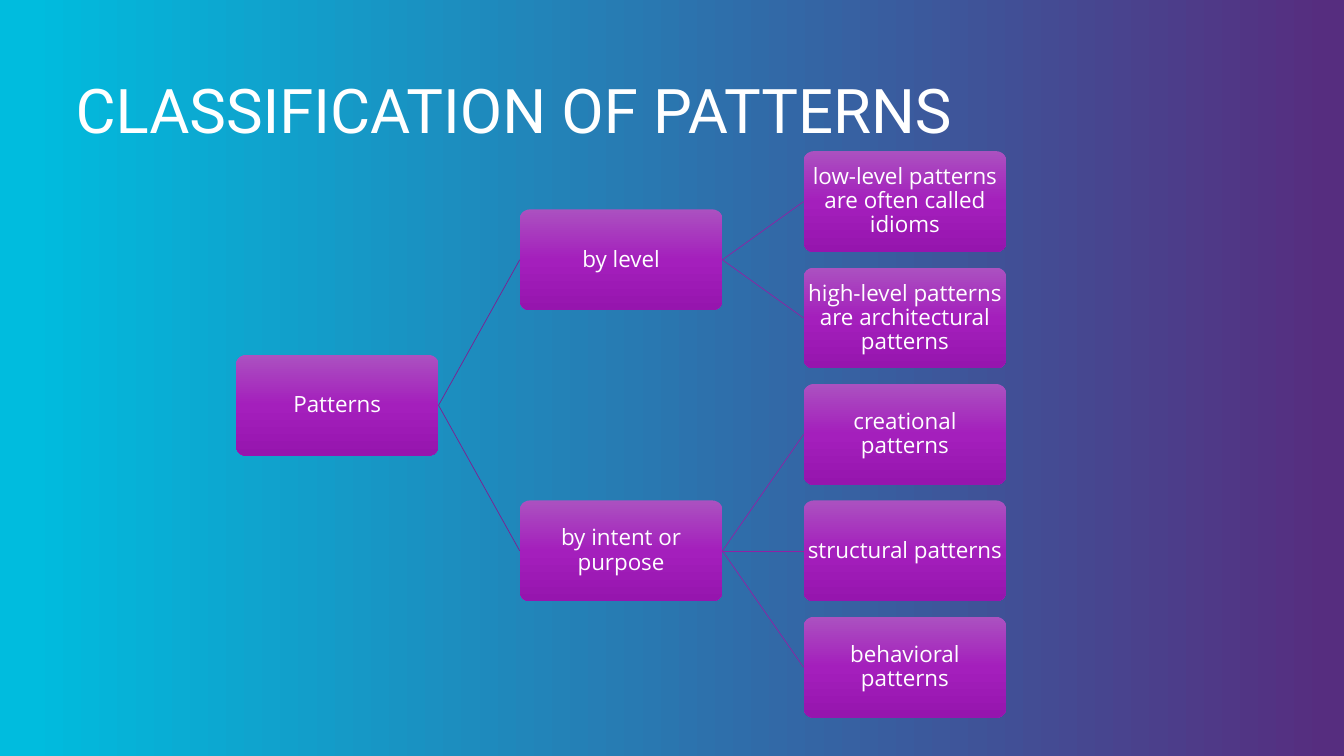
from lxml import etree
from pptx import Presentation
from pptx.dml.color import RGBColor
from pptx.enum import shapes, text
from pptx.oxml.ns import qn
from pptx.util import Inches, Pt

TITLE = "CLASSIFICATION OF PATTERNS"
TREE = ("Patterns", [
    ("by level", [
        ("low-level patterns are often called idioms", []),
        ("high-level patterns are architectural patterns", []),
    ]),
    ("by intent or purpose", [
        ("creational patterns", []),
        ("structural patterns", []),
        ("behavioral patterns", []),
    ]),
])
COLORS = {
    "white": "FFFFFF",
    "violet": "562D7F",
    "cyan": "00BCDE",
    "box_top": "AB51C0",
    "box_middle": "A41FBC",
    "box_bottom": "9615AE",
}
BACKGROUND_STOPS = [(1, "violet"), (98, "cyan")]
BOX_STOPS = [(0, "box_top"), (50, "box_middle"), (100, "box_bottom")]
BRANCH_COLORS = ["7F1E91", "9022A4"]

BOX_W, BOX_H = 2.01, 1.0
FIRST_LEFT, LAST_LEFT = 2.34, 7.97
FIRST_TOP, LAST_TOP = 1.5, 6.12
COLUMN_STEP = (LAST_LEFT - FIRST_LEFT) / 2
ROW_STEP = (LAST_TOP - FIRST_TOP) / 4


def paint_gradient(fill, owner, stops, angle):
    fill.gradient()
    gradient = owner.find(".//" + qn("a:gradFill"))
    stop_list = gradient.find(qn("a:gsLst"))
    for old_stop in list(stop_list):
        stop_list.remove(old_stop)
    for percent, color in stops:
        stop = etree.SubElement(stop_list, qn("a:gs"), pos=str(percent * 1000))
        etree.SubElement(stop, qn("a:srgbClr"), val=COLORS[color])
    gradient.find(qn("a:lin")).set("ang", str(angle * 60000))


def write(frame, wording, font_name, size, insets, align, anchor):
    frame.word_wrap = True
    frame.vertical_anchor = anchor
    (frame.margin_left, frame.margin_top,
     frame.margin_right, frame.margin_bottom) = map(Inches, insets)
    paragraph = frame.paragraphs[0]
    paragraph.text = wording
    paragraph.alignment = align
    paragraph.line_spacing = 0.9
    paragraph.font.name = font_name
    paragraph.font.size = Pt(size)
    paragraph.font.color.rgb = RGBColor.from_string(COLORS["white"])


def add_box(slide, label, left, top):
    box = slide.shapes.add_shape(
        shapes.MSO_SHAPE.ROUNDED_RECTANGLE,
        Inches(left), Inches(top), Inches(BOX_W), Inches(BOX_H))
    box.adjustments[0] = 0.1
    box.shadow.inherit = False
    box.line.fill.background()
    paint_gradient(box.fill, box._element.spPr, BOX_STOPS, 90)
    write(box.text_frame, label, "Open Sans", 16, [0.01] * 4,
          text.PP_ALIGN.CENTER, text.MSO_ANCHOR.MIDDLE)
    return box


def add_branch(slide, parent, child, color):
    branch = slide.shapes.add_connector(shapes.MSO_CONNECTOR.STRAIGHT, 0, 0, 0, 0)
    branch.begin_connect(parent, 3)
    branch.end_connect(child, 1)
    branch.line.color.rgb = RGBColor.from_string(color)
    branch.line.width = Pt(0.5)
    etree.SubElement(branch._element.spPr, qn("a:effectLst"))


def add_tree(slide, node, rows, depth=0):
    label, children = node
    branches = [add_tree(slide, child, rows, depth + 1) for child in children]
    if branches:
        top = (branches[0][1] + branches[-1][1]) / 2
    else:
        top = FIRST_TOP + next(rows) * ROW_STEP
    box = add_box(slide, label, FIRST_LEFT + depth * COLUMN_STEP, top)
    for child_box, _ in branches:
        add_branch(slide, box, child_box, BRANCH_COLORS[depth])
    return box, top


def main():
    deck = Presentation()
    deck.slide_width, deck.slide_height = Inches(13.33), Inches(7.5)
    slide = deck.slides.add_slide(deck.slide_layouts[6])
    paint_gradient(slide.background.fill, slide._element, BACKGROUND_STOPS, 180)
    title = slide.shapes.add_textbox(
        Inches(0.75), Inches(0.75), Inches(11.83), Inches(0.75))
    write(title.text_frame, TITLE, "Roboto", 44, [0, 0.05, 0.1, 0.05],
          text.PP_ALIGN.LEFT, text.MSO_ANCHOR.TOP)
    add_tree(slide, TREE, iter(range(5)))
    deck.save("out.pptx")


if __name__ == "__main__":
    main()
